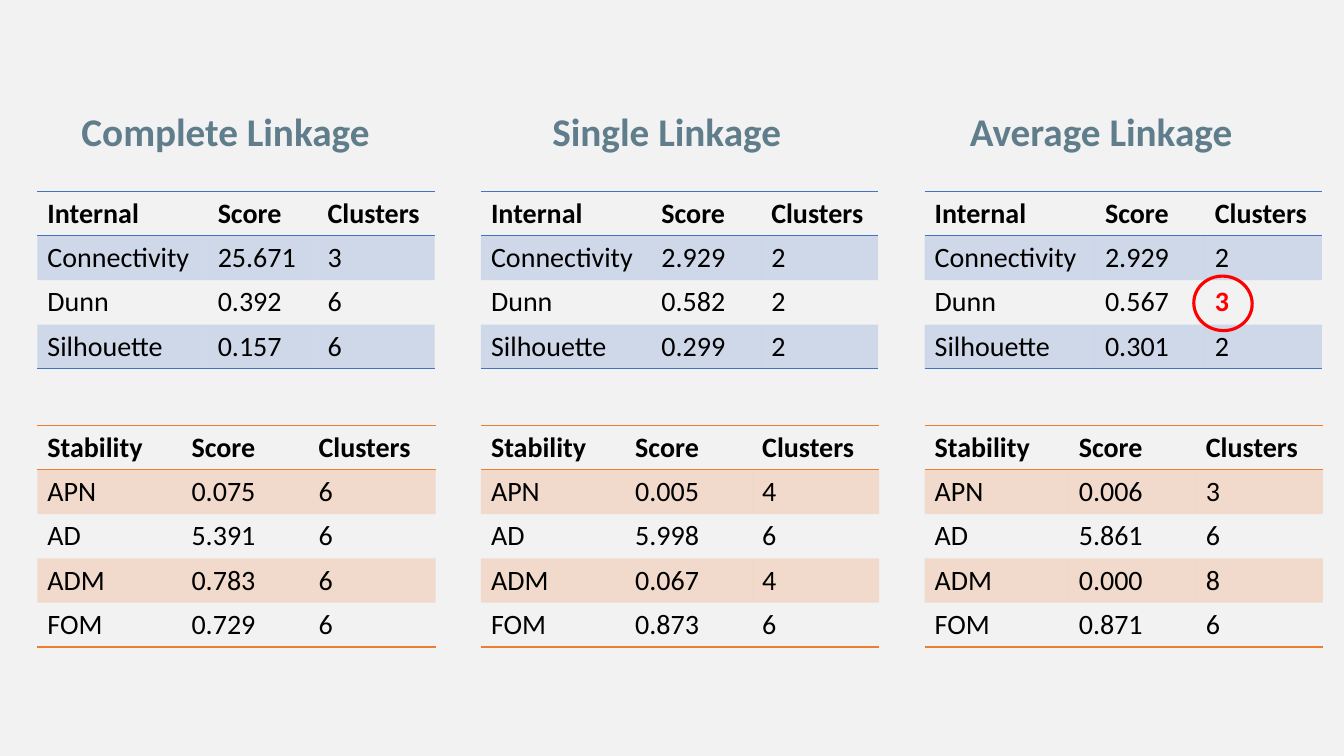
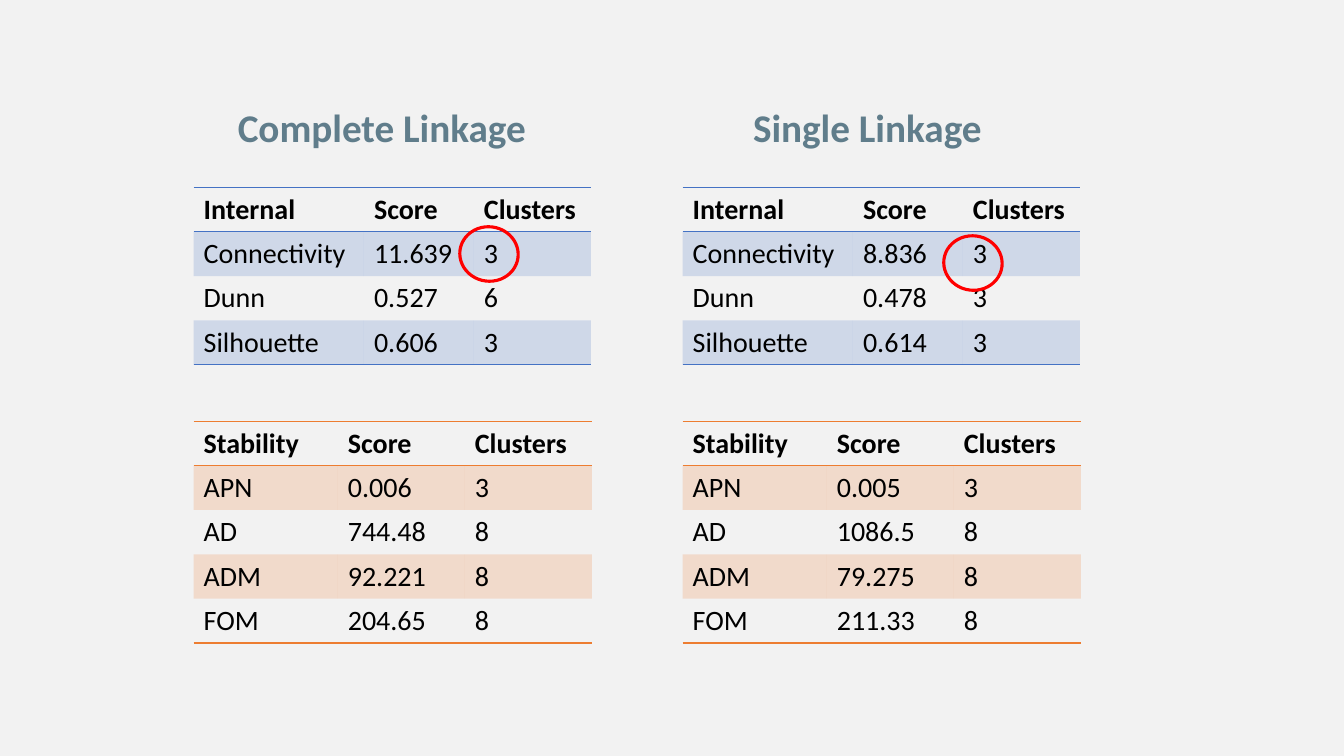
from lxml import etree
from pptx import Presentation
from pptx.dml.color import RGBColor
from pptx.enum.shapes import MSO_SHAPE as Shape
from pptx.enum.text import MSO_AUTO_SIZE as AutoSize
from pptx.oxml import parse_xml
from pptx.oxml.ns import nsdecls, qn
from pptx.util import Inches, Pt

FONT = "Calibri"
BACKGROUND, HEADING, TEXT, MARK = "F2F2F2", "607D8B", "000000", "FF0000"
BLUE, ORANGE = "4472C4", "ED7D31"
PLAIN_TABLE_STYLE = "{2D5ABB26-0587-4C30-8999-92F81FD0307C}"
ROW_HEIGHT = 0.44

# Kind of measure: row labels, column widths, colour, distance below the heading
INTERNAL = ("Internal", ["Connectivity", "Dunn", "Silhouette"],
            [1.69, 1.09, 1.16], BLUE, 0.88)
STABILITY = ("Stability", ["APN", "AD", "ADM", "FOM"],
             [1.43, 1.26, 1.26], ORANGE, 3.2)


def color(value):
    return RGBColor.from_string(value)


class Deck:
    def __init__(self):
        self.presentation = Presentation()
        self.presentation.slide_width = Inches(13.33)
        self.presentation.slide_height = Inches(7.5)
        fill = self.presentation.slide_master.background.fill
        fill.solid()
        fill.fore_color.rgb = color(BACKGROUND)
        self.slide = None

    def add_slide(self):
        blank = self.presentation.slide_layouts[6]
        self.slide = self.presentation.slides.add_slide(blank)

    def style_text(self, paragraph, size, text_color, bold):
        for run in paragraph.runs:
            run.font.name = FONT
            run.font.size = Pt(size)
            run.font.bold = bold
            run.font.color.rgb = color(text_color)

    def heading(self, text, left, top):
        box = self.slide.shapes.add_textbox(
            Inches(left), Inches(top), Inches(3.25), Inches(0.57))
        frame = box.text_frame
        frame.word_wrap = True
        frame.auto_size = AutoSize.SHAPE_TO_FIT_TEXT
        frame.text = text
        self.style_text(frame.paragraphs[0], 28, HEADING, True)

    def paint_cell(self, cell, accent, tinted, borders):
        """Tint a cell with 20 % of the accent and rule the sides in borders."""
        if tinted:
            cell.fill.solid()
            cell.fill.fore_color.rgb = color(accent)
            accent_element = next(cell._tc.tcPr.iter(qn("a:srgbClr")))
            etree.SubElement(accent_element, qn("a:alpha"), val="20000")
        else:
            cell.fill.background()
        for index, side in enumerate(borders):
            cell._tc.tcPr.insert(index, parse_xml(
                f'<a:{side} {nsdecls("a")} w="12700"><a:solidFill>'
                f'<a:srgbClr val="{accent}"/></a:solidFill></a:{side}>'))

    def score_table(self, measure, left, heading_top, results, chosen=None):
        """Add a table of (score, clusters) results; chosen is a label in red."""
        title, labels, widths, accent, distance = measure
        rows = [(title, "Score", "Clusters")]
        rows += [(label, *result) for label, result in zip(labels, results)]
        table = self.slide.shapes.add_table(
            len(rows), len(widths), Inches(left), Inches(heading_top + distance),
            Inches(sum(widths)), Inches(ROW_HEIGHT * len(rows))).table
        table.horz_banding = False
        table._tbl.tblPr.find(qn("a:tableStyleId")).text = PLAIN_TABLE_STYLE
        for column, width in zip(table.columns, widths):
            column.width = Inches(width)
        for row_index, row in enumerate(rows):
            table.rows[row_index].height = Inches(ROW_HEIGHT)
            is_header = row_index == 0
            borders = ["lnT", "lnB"] if is_header else []
            if row_index == len(rows) - 1:
                borders = ["lnB"]
            for column_index, text in enumerate(row):
                cell = table.cell(row_index, column_index)
                cell.text_frame.text = text
                marked = row[0] == chosen and column_index == 2
                self.style_text(cell.text_frame.paragraphs[0], 20,
                                MARK if marked else TEXT, is_header or marked)
                self.paint_cell(cell, accent, row_index % 2 == 1, borders)

    def linkage(self, name, left, heading_left, top, internal, stability,
                chosen=None):
        """Add a heading with its internal and stability tables below."""
        self.heading(name, heading_left, top)
        self.score_table(INTERNAL, left, top, internal, chosen)
        self.score_table(STABILITY, left, top, stability)

    def ring(self, left, top):
        ring = self.slide.shapes.add_shape(
            Shape.OVAL, Inches(left), Inches(top), Inches(0.58), Inches(0.54))
        ring.shadow.inherit = False
        ring.rotation = 7.4
        ring.fill.background()
        ring.line.color.rgb = color(MARK)
        ring.line.width = Pt(2.25)


def three_linkages(deck):
    deck.add_slide()
    top = 1.02
    deck.linkage(
        "Complete Linkage", 0.37, 0.71, top,
        [("25.671", "3"), ("0.392", "6"), ("0.157", "6")],
        [("0.075", "6"), ("5.391", "6"), ("0.783", "6"), ("0.729", "6")])
    deck.linkage(
        "Single Linkage", 4.77, 5.38, top,
        [("2.929", "2"), ("0.582", "2"), ("0.299", "2")],
        [("0.005", "4"), ("5.998", "6"), ("0.067", "4"), ("0.873", "6")])
    deck.linkage(
        "Average Linkage", 9.17, 9.52, top,
        [("2.929", "2"), ("0.567", "3"), ("0.301", "2")],
        [("0.006", "3"), ("5.861", "6"), ("0.000", "8"), ("0.871", "6")],
        chosen="Dunn")
    deck.ring(11.84, 2.74)


def two_linkages(deck):
    deck.add_slide()
    top = 0.98
    deck.linkage(
        "Complete Linkage", 1.92, 2.26, top,
        [("11.639", "3"), ("0.527", "6"), ("0.606", "3")],
        [("0.006", "3"), ("744.48", "8"), ("92.221", "8"), ("204.65", "8")])
    deck.linkage(
        "Single Linkage", 6.77, 7.37, top,
        [("8.836", "3"), ("0.478", "3"), ("0.614", "3")],
        [("0.005", "3"), ("1086.5", "8"), ("79.275", "8"), ("211.33", "8")])
    deck.ring(4.56, 2.25)
    deck.ring(9.36, 2.34)


def main():
    deck = Deck()
    three_linkages(deck)
    two_linkages(deck)
    deck.presentation.save("out.pptx")


if __name__ == "__main__":
    main()
